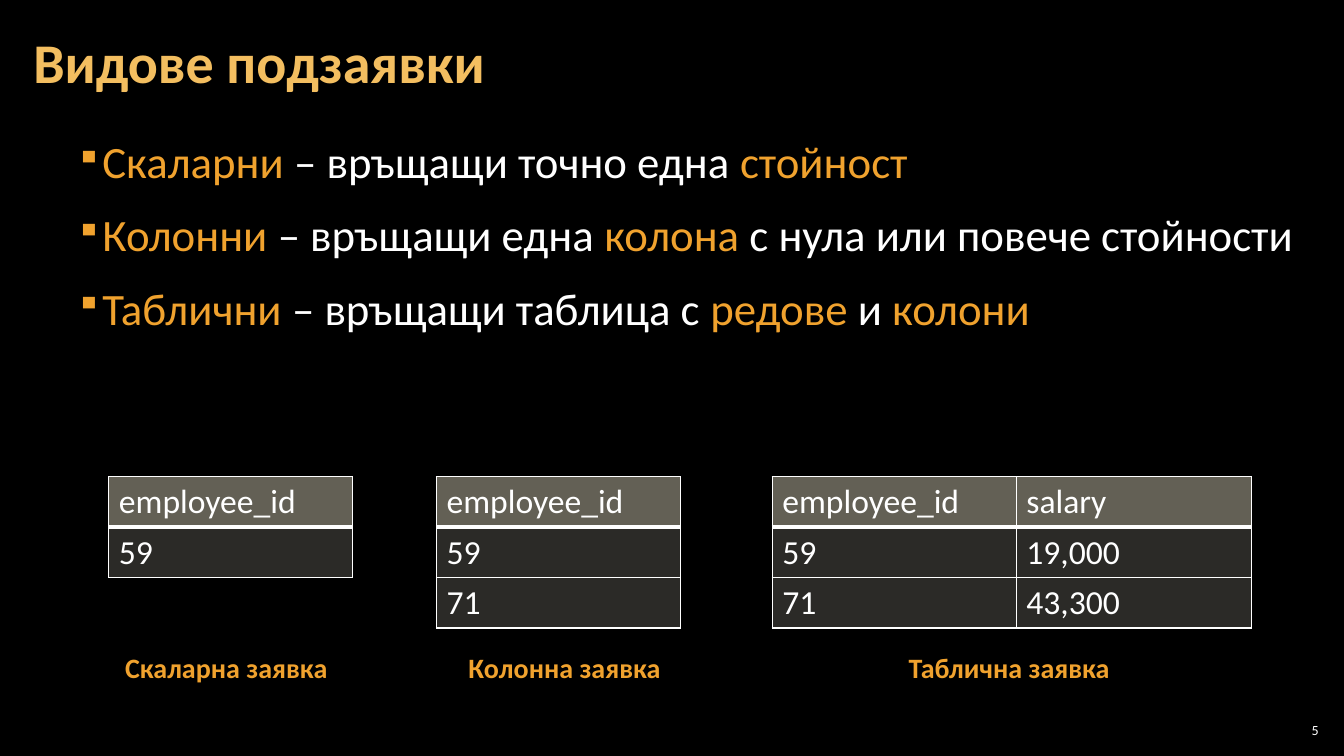
from dataclasses import dataclass

from lxml.etree import SubElement
from pptx import Presentation
from pptx.dml.color import RGBColor as RGB
from pptx.enum.text import MSO_ANCHOR as Anchor, PP_ALIGN as Align
from pptx.oxml.ns import qn
from pptx.util import Inches, Pt


@dataclass(frozen=True)
class Theme:
    font: str = "Calibri"
    background: str = "000000"
    text: str = "FFFFFF"
    accent: str = "F0A22E"
    title: str = "F3BE60"
    header_fill: tuple = ("C6C0AA", 50)
    row_fill: tuple = ("D9D5C7", 20)
    title_size: int = 40
    body_size: int = 32
    cell_size: int = 24
    caption_size: int = 20
    number_size: int = 10


class SlideBuilder:
    def __init__(self, deck, theme):
        self.theme = theme
        self.slide = deck.slides.add_slide(deck.slide_layouts[6])
        backdrop = self.slide.background.fill
        backdrop.solid()
        backdrop.fore_color.rgb = RGB.from_string(theme.background)

    def style(self, run, size, color, bold=False):
        run.font.name = self.theme.font
        run.font.size = Pt(size)
        run.font.bold = bold
        run.font.color.rgb = RGB.from_string(color)

    def frame(self, box, inset=(0.1, 0.05), anchor=Anchor.TOP):
        frame = self.slide.shapes.add_textbox(*map(Inches, box)).text_frame
        frame.word_wrap = True
        frame.vertical_anchor = anchor
        frame.margin_left = frame.margin_right = Inches(inset[0])
        frame.margin_top = frame.margin_bottom = Inches(inset[1])
        return frame

    def label(self, text, box, size, color, bold=False, align=Align.LEFT,
              spacing=1.0, **layout):
        frame = self.frame(box, **layout)
        frame.text = text
        line = frame.paragraphs[0]
        line.alignment = align
        line.line_spacing = spacing
        self.style(line.runs[0], size, color, bold)

    def bullets(self, items, box, inset):
        """Each item alternates accented and plain pieces of text."""
        frame = self.frame(box, inset)
        for index, pieces in enumerate(items):
            line = frame.add_paragraph() if index else frame.paragraphs[0]
            line.line_spacing = 1.05
            line.space_before = Pt(6 if index else 0)
            line.space_after = Pt(6)
            self.bullet_mark(line)
            for place, piece in enumerate(pieces):
                run = line.add_run()
                run.text = piece
                color = self.theme.text if place % 2 else self.theme.accent
                self.style(run, self.theme.body_size, color)

    def bullet_mark(self, line):
        props = line._p.get_or_add_pPr()
        props.set("lvl", "1")
        props.set("marL", str(Inches(0.67)))
        props.set("indent", str(Inches(-0.25)))
        color = SubElement(props, qn("a:buClr"))
        SubElement(color, qn("a:srgbClr"), val=self.theme.accent)
        SubElement(props, qn("a:buSzPct"), val="80000")
        SubElement(props, qn("a:buChar"), char="▪")

    def table(self, rows, left, top, widths, row_height=0.5):
        box = left, top, sum(widths), row_height * len(rows)
        grid = self.slide.shapes.add_table(
            len(rows), len(widths), *map(Inches, box)).table
        grid.first_row = grid.horz_banding = False
        for column, width in zip(grid.columns, widths):
            column.width = Inches(width)
        for r, values in enumerate(rows):
            for c, value in enumerate(values):
                cell = grid.cell(r, c)
                cell.text = value
                self.style(cell.text_frame.paragraphs[0].runs[0],
                           self.theme.cell_size, self.theme.text)
                self.borders(cell, bottom=1 if r else 3)
                self.cell_fill(cell, *(self.theme.row_fill if r
                                       else self.theme.header_fill))

    def borders(self, cell, bottom):
        props = cell._tc.get_or_add_tcPr()
        for side, width in (("L", 1), ("R", 1), ("T", 1), ("B", bottom)):
            edge = SubElement(props, qn(f"a:ln{side}"), w=str(Pt(width)))
            paint = SubElement(edge, qn("a:solidFill"))
            SubElement(paint, qn("a:srgbClr"), val=self.theme.text)

    def cell_fill(self, cell, color, opacity):
        cell.fill.solid()
        cell.fill.fore_color.rgb = RGB.from_string(color)
        tint = cell._tc.tcPr.find(qn("a:solidFill")).find(qn("a:srgbClr"))
        SubElement(tint, qn("a:alpha"), val=str(opacity * 1000))


def main():
    deck = Presentation()
    deck.slide_width, deck.slide_height = Inches(13.33), Inches(7.5)
    theme = Theme()
    page = SlideBuilder(deck, theme)
    wide_inset = (0.12, 0.04)

    # Subquery kinds
    kinds = [
        ("Скаларни", " – връщащи точно една ", "стойност"),
        ("Колонни", " – връщащи една ", "колона",
         " с нула или повече стойности"),
        ("Таблични", " – връщащи таблица с ", "редове", " и ", "колони"),
    ]
    page.bullets(kinds, (0.21, 1.26, 12.91, 6.09), wide_inset)

    # Title
    page.label("Видове подзаявки", (0.21, 0.04, 12.91, 1.21),
               theme.title_size, theme.title, bold=True, spacing=0.9,
               inset=wide_inset, anchor=Anchor.MIDDLE)

    # Example results: rows, table left, column widths
    employees = [("employee_id", "salary"), ("59", "19,000"), ("71", "43,300")]
    ids = [row[:1] for row in employees]
    results = [
        (ids[:2], 1.08, [2.42]),
        (ids, 4.33, [2.42]),
        (employees, 7.66, [2.42, 2.33]),
    ]
    for rows, left, widths in results:
        page.table(rows, left, 4.73, widths)

    # Captions under the results
    captions = [
        ("Скаларна заявка", 1.08, 2.33),
        ("Колонна заявка", 4.45, 2.3),
        ("Таблична заявка", 7.58, 4.86),
    ]
    for caption, left, width in captions:
        page.label(caption, (left, 6.4, width, 0.44), theme.caption_size,
                   theme.accent, bold=True, align=Align.CENTER)

    # Slide number
    page.label("5", (12.65, 7.14, 0.47, 0.21), theme.number_size, theme.text,
               align=Align.RIGHT, inset=(0.04, 0.04), anchor=Anchor.MIDDLE)

    deck.save("out.pptx")


if __name__ == "__main__":
    main()
